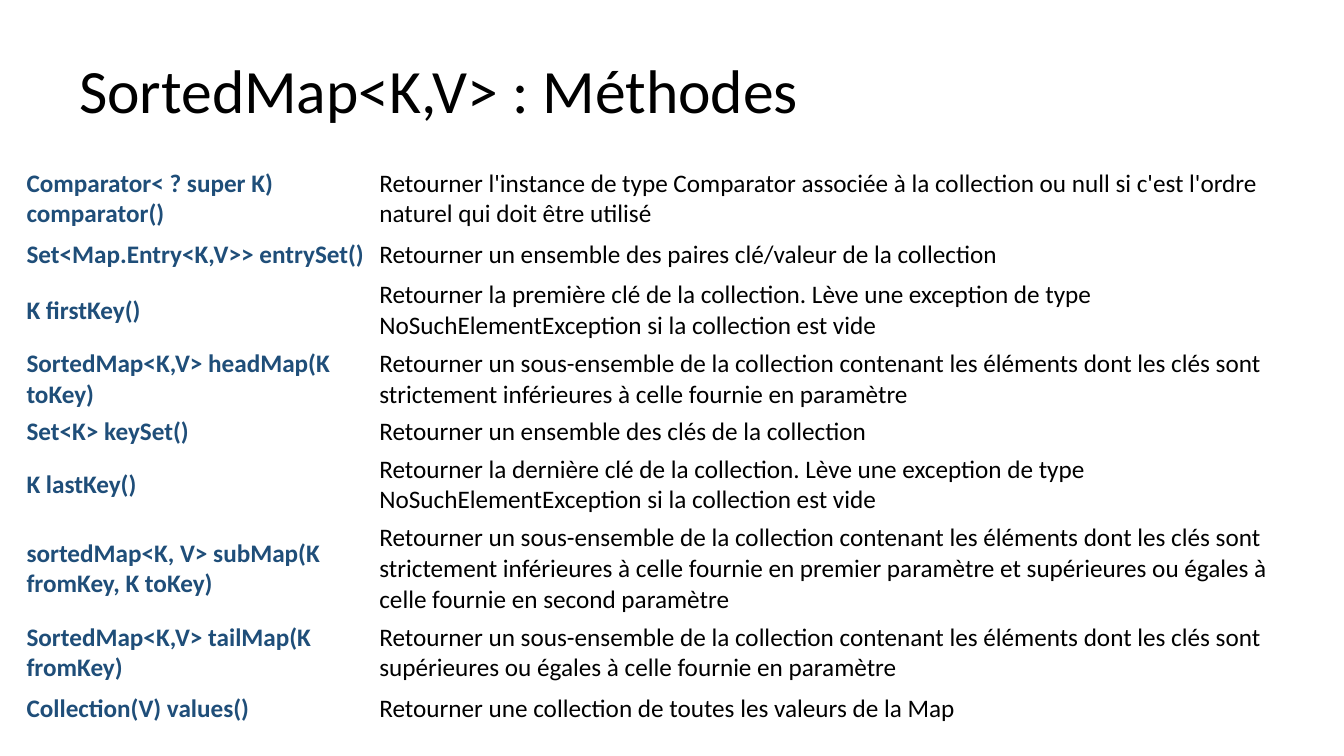
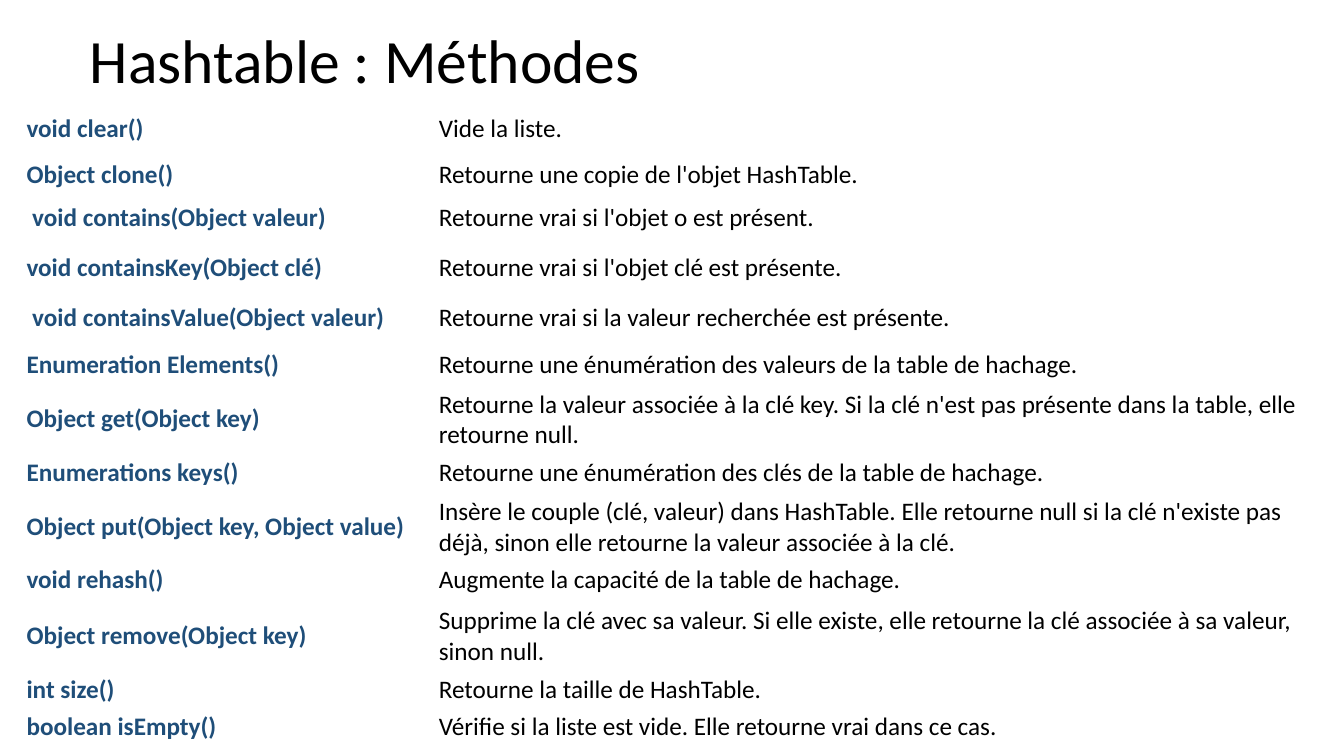
import pptx
import pptx.dml.color
import pptx.enum.text
import pptx.util

Pt = pptx.util.Pt
MIDDLE = pptx.enum.text.MSO_ANCHOR.MIDDLE

COLORS = {"text": "000000", "method": "1F4E79"}

SORTED_MAP_ROWS = [
    (49, "Comparator< ? super K) comparator()",
     "Retourner l'instance de type Comparator associée à la collection ou null "
     "si c'est l'ordre naturel qui doit être utilisé"),
    (31, "Set<Map.Entry<K,V>> entrySet()",
     "Retourner un ensemble des paires clé/valeur de la collection"),
    (49, "K firstKey()",
     "Retourner la première clé de la collection. Lève une exception de type "
     "NoSuchElementException si la collection est vide"),
    (49, "SortedMap<K,V> headMap(K toKey)",
     "Retourner un sous-ensemble de la collection contenant les éléments dont "
     "les clés sont strictement inférieures à celle fournie en paramètre"),
    (26.5, "Set<K> keySet()",
     "Retourner un ensemble des clés de la collection"),
    (49, "K lastKey()",
     "Retourner la dernière clé de la collection. Lève une exception de type "
     "NoSuchElementException si la collection est vide"),
    (71, "sortedMap<K, V> subMap(K fromKey, K toKey)",
     "Retourner un sous-ensemble de la collection contenant les éléments dont "
     "les clés sont strictement inférieures à celle fournie en premier paramètre "
     "et supérieures ou égales à celle fournie en second paramètre"),
    (49, "SortedMap<K,V> tailMap(K fromKey)",
     "Retourner un sous-ensemble de la collection contenant les éléments dont "
     "les clés sont supérieures ou égales à celle fournie en paramètre"),
    (31, "Collection(V) values()",
     "Retourner une collection de toutes les valeurs de la Map"),
]

HASHTABLE_ROWS = [
    (39, "void clear()", "Vide la liste."),
    (26.5, "Object clone()", "Retourne une copie de l'objet HashTable."),
    (35.5, " void contains(Object valeur)",
     "Retourne vrai si l'objet o est présent."),
    (35.5, "void containsKey(Object clé)",
     "Retourne vrai si l'objet clé est présente."),
    (36, " void containsValue(Object valeur)",
     "Retourne vrai si la valeur recherchée est présente."),
    (31.5, "Enumeration Elements()",
     "Retourne une énumération des valeurs de la table de hachage."),
    (44, "Object get(Object key)",
     "Retourne la valeur associée à la clé key. Si la clé n'est pas présente "
     "dans la table, elle retourne null."),
    (30.5, "Enumerations keys()",
     "Retourne une énumération des clés de la table de hachage."),
    (44, "Object put(Object key, Object value)",
     "Insère le couple (clé, valeur) dans HashTable. Elle retourne null si la "
     "clé n'existe pas déjà, sinon elle retourne la valeur associée à la clé."),
    (30.5, "void rehash()", "Augmente la capacité de la table de hachage."),
    (49.5, "Object remove(Object key)",
     "Supprime la clé avec sa valeur. Si elle existe, elle retourne la clé "
     "associée à sa valeur, sinon null."),
    (26.5, "int size()", "Retourne la taille de HashTable."),
    (26.5, "boolean isEmpty()",
     "Vérifie si la liste est vide. Elle retourne vrai dans ce cas."),
]


class Slides:
    """Holds the shared style and the slide being filled."""

    font = "Calibri"
    title_size, title_height = 44, 55.5
    cell_size, cell_margin = 18, 1.5
    table_left, table_width = 17.5, 918

    def __init__(self):
        self.deck = pptx.Presentation()
        self.deck.slide_width, self.deck.slide_height = Pt(960), Pt(540)
        self.page = None

    def add_page(self):
        self.page = self.deck.slides.add_slide(self.deck.slide_layouts[6])

    def style(self, para, size, color, bold=False):
        para.font.name = self.font
        para.font.size = Pt(size)
        para.font.bold = bold
        para.font.color.rgb = pptx.dml.color.RGBColor.from_string(COLORS[color])

    def title(self, text, left, top, width):
        box = self.page.shapes.add_textbox(
            Pt(left), Pt(top), Pt(width), Pt(self.title_height))
        frame = box.text_frame
        frame.word_wrap = True
        frame.auto_size = pptx.enum.text.MSO_AUTO_SIZE.SHAPE_TO_FIT_TEXT
        frame.vertical_anchor = MIDDLE
        para = frame.paragraphs[0]
        para.text = text
        para.line_spacing = 0.9
        self.style(para, self.title_size, "text")

    def method_table(self, top, method_width, rows):
        """Adds a table from (height, method, description) rows."""
        height = sum(row[0] for row in rows)
        table = self.page.shapes.add_table(
            len(rows), 2, Pt(self.table_left), Pt(top),
            Pt(self.table_width), Pt(height)).table
        table.first_row = table.horz_banding = False
        table.columns[0].width = Pt(method_width)
        table.columns[1].width = Pt(self.table_width - method_width)
        for row, (row_height, method, description) in zip(table.rows, rows):
            row.height = Pt(row_height)
            self.fill_cell(row.cells[0], method, "method", bold=True)
            self.fill_cell(row.cells[1], description, "text")

    def fill_cell(self, cell, text, color, bold=False):
        cell.fill.background()
        cell.vertical_anchor = MIDDLE
        margin = Pt(self.cell_margin)
        cell.margin_left = cell.margin_right = margin
        cell.margin_top = cell.margin_bottom = margin
        para = cell.text_frame.paragraphs[0]
        para.text = text
        self.style(para, self.cell_size, color, bold)


def main():
    slides = Slides()

    slides.add_page()
    slides.title("SortedMap<K,V> : Méthodes", 49.5, 39, 738)
    slides.method_table(117.5, 252, SORTED_MAP_ROWS)

    slides.add_page()
    slides.title("Hashtable : Méthodes", 57, 17.5, 726.5)
    slides.method_table(72.5, 294.5, HASHTABLE_ROWS)

    slides.deck.save("out.pptx")


if __name__ == "__main__":
    main()
